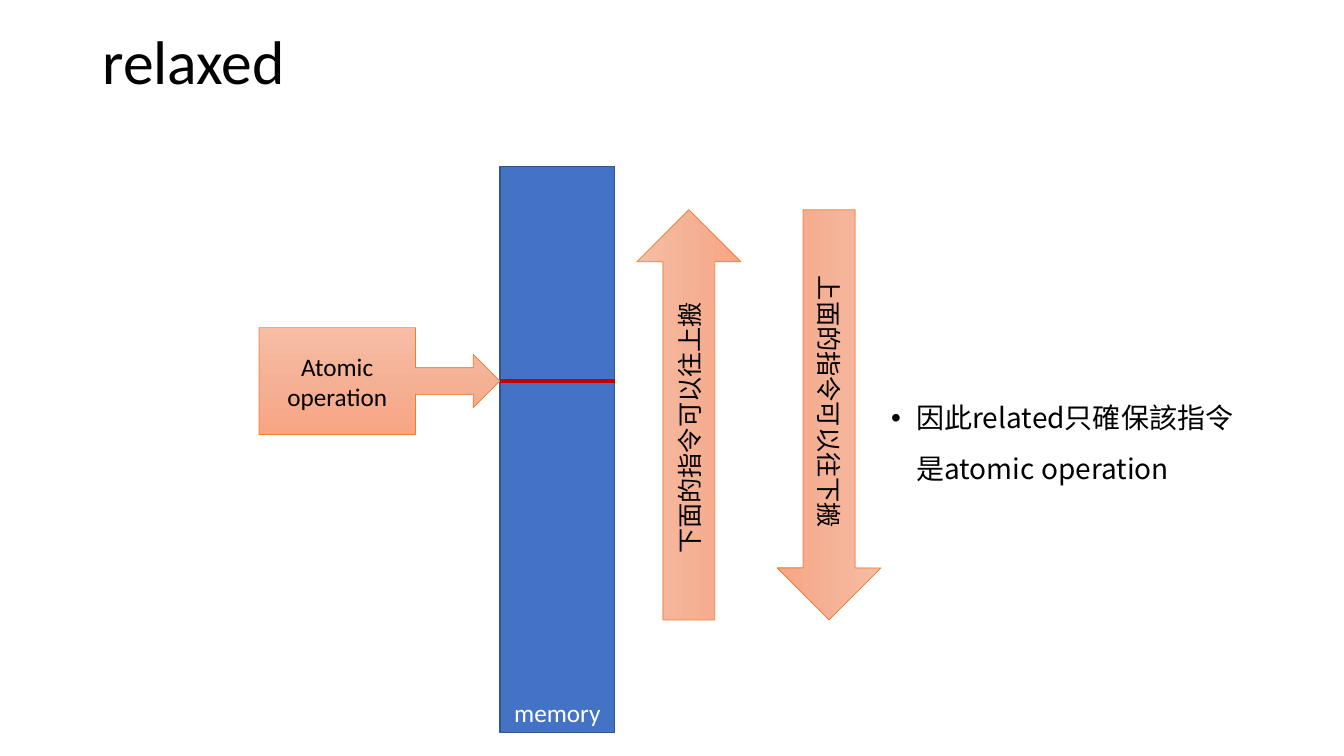
from copy import deepcopy

from lxml import etree
from pptx import Presentation
from pptx.dml.color import RGBColor
from pptx.enum.shapes import MSO_CONNECTOR, MSO_SHAPE
from pptx.enum.text import MSO_ANCHOR, MSO_AUTO_SIZE, PP_ALIGN
from pptx.oxml.ns import qn
from pptx.util import Pt

RECT, ARROW = MSO_SHAPE.RECTANGLE, MSO_SHAPE.RIGHT_ARROW
CALLOUT = MSO_SHAPE.RIGHT_ARROW_CALLOUT
STRAIGHT = MSO_CONNECTOR.STRAIGHT
MIDDLE, BOTTOM = MSO_ANCHOR.MIDDLE, MSO_ANCHOR.BOTTOM
LEFT, CENTER = PP_ALIGN.LEFT, PP_ALIGN.CENTER
NO_FIT = MSO_AUTO_SIZE.NONE

LATIN, HAN = "Calibri", "Noto Sans CJK SC"
COLORS = {
    "black": "000000", "white": "FFFFFF",
    "memory": "4472C4", "edge": "325491",
    "mark": "C00000", "rim": "ED7D31",
}
PEACH = [(0, "F7BDA5"), (0.5, "F5B196"), (1, "F8A582")]

TITLE = "relaxed"
MEMORY = "memory"
ATOMIC = "Atomic operation"
# text, center x, rotation
MOVES = [
    ("下面的指令可以往上搬", 492.12, 270),
    ("上面的指令可以往下搬", 592.2, 90),
]
NOTE = "因此related只確保該指令是atomic operation"

# left, top, width, height in points
TITLE_BOX = (66, 8, 828, 76.5)
BAR_BOX = (357.1, 118.8, 82.1, 404.6)
NOTE_BOX = (629.3, 139, 269.3, 342.7)
CALL_W, CALL_H = 172.1, 76.3
MOVE_W, MOVE_H, MOVE_Y = 293, 74.2, 296.3
MARK_Y = 272.2


def color(name):
    return RGBColor.from_string(COLORS[name])


def place(shape, box):
    shape.left, shape.top, shape.width, shape.height = map(Pt, box)


def write(shape, text, size, ink="black", font=LATIN, align=CENTER, anchor=MIDDLE):
    frame = shape.text_frame
    frame.word_wrap = True
    frame.auto_size = NO_FIT
    frame.vertical_anchor = anchor
    para = frame.paragraphs[0]
    para.alignment = align
    run = para.add_run()
    run.text = text
    run.font.size = Pt(size)
    run.font.name = font
    run.font.color.rgb = color(ink)
    east = etree.Element(qn("a:ea"), typeface=HAN)
    run.font._element.find(qn("a:latin")).addnext(east)
    return para


def add_block(slide, kind, box, edge, width):
    shape = slide.shapes.add_shape(kind, *map(Pt, box))
    shape.shadow.inherit = False
    shape.line.color.rgb = color(edge)
    shape.line.width = Pt(width)
    return shape


def add_peach(slide, kind, box, text):
    """Add a shape with the three-stop gradient, light at its top."""
    shape = add_block(slide, kind, box, "rim", 0.5)
    fill = shape.fill
    fill.gradient()
    fill.gradient_angle = 270
    last = shape._element.spPr.find(".//" + qn("a:gs"))
    last.addnext(deepcopy(last))
    for stop, (pos, tint) in zip(fill.gradient_stops, PEACH):
        stop.position = pos
        stop.color.rgb = RGBColor.from_string(tint)
    write(shape, text, 18)
    return shape


def add_mark(slide, left, right, y):
    line = slide.shapes.add_connector(STRAIGHT, Pt(left), Pt(y), Pt(right), Pt(y))
    line.line.color.rgb = color("mark")
    line.line.width = Pt(3)
    etree.SubElement(line._element.spPr, qn("a:effectLst"))


def set_bullet(para, indent):
    props = para._p.get_or_add_pPr()
    props.set("marL", str(Pt(indent)))
    props.set("indent", str(-Pt(indent)))
    etree.SubElement(props, qn("a:buFont"), typeface="Arial")
    etree.SubElement(props, qn("a:buChar"), char="•")


def main():
    deck = Presentation()
    deck.slide_width, deck.slide_height = Pt(960), Pt(540)
    slide = deck.slides.add_slide(deck.slide_layouts[1])

    title = slide.shapes.title
    place(title, TITLE_BOX)
    write(title, TITLE, 44, align=LEFT).line_spacing = 0.9

    bar = add_block(slide, RECT, BAR_BOX, "edge", 1)
    bar.fill.solid()
    bar.fill.fore_color.rgb = color("memory")
    write(bar, MEMORY, 18, ink="white", anchor=BOTTOM)

    left, _, width, _ = BAR_BOX
    call = (left - CALL_W, MARK_Y - CALL_H / 2, CALL_W, CALL_H)
    add_peach(slide, CALLOUT, call, ATOMIC)
    add_mark(slide, left, left + width, MARK_Y)

    for text, mid, turn in MOVES:
        box = (mid - MOVE_W / 2, MOVE_Y - MOVE_H / 2, MOVE_W, MOVE_H)
        add_peach(slide, ARROW, box, text).rotation = turn

    note = slide.placeholders[1]
    place(note, NOTE_BOX)
    para = write(note, NOTE, 20, font=HAN, align=LEFT)
    para.line_spacing = 1.5
    para.space_before = Pt(10)
    set_bullet(para, 18)

    deck.save("out.pptx")


if __name__ == "__main__":
    main()
